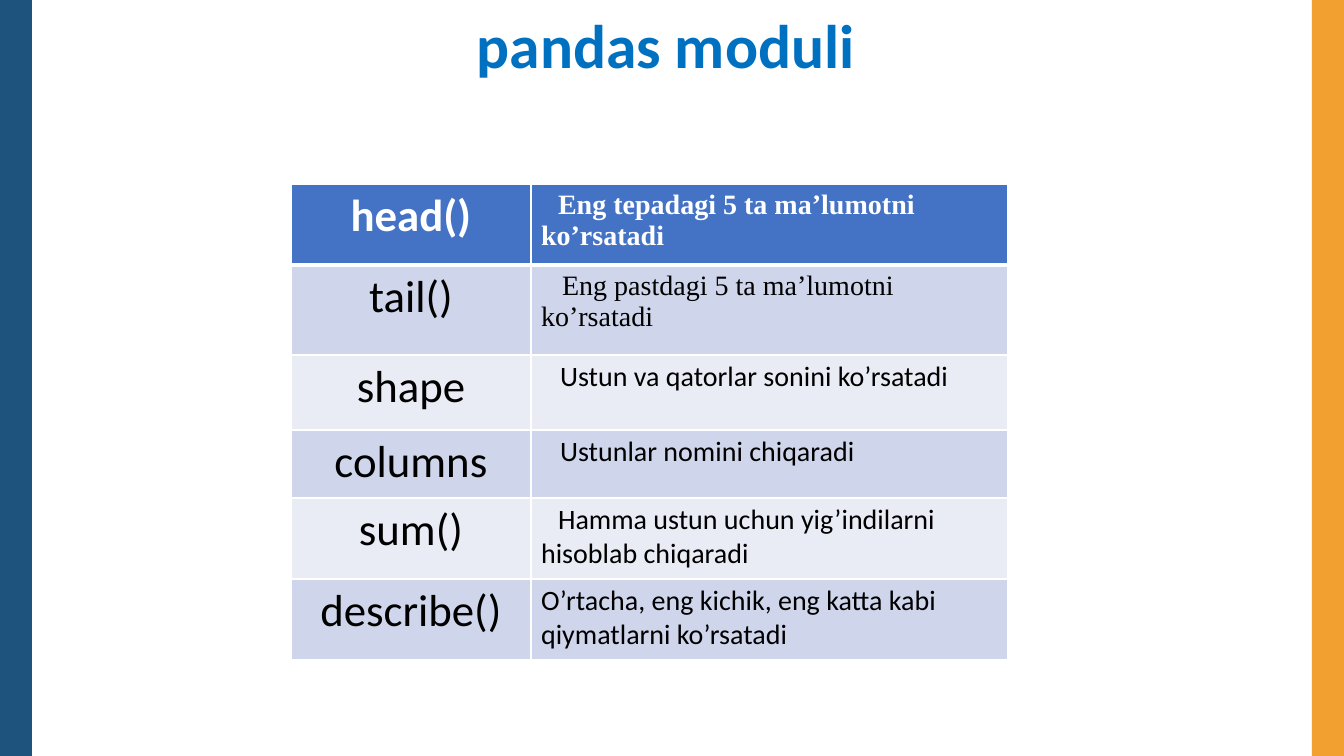
from lxml import etree
from pptx import Presentation
from pptx.dml.color import RGBColor
from pptx.enum.shapes import MSO_SHAPE
from pptx.enum.text import MSO_ANCHOR, PP_ALIGN
from pptx.oxml.ns import qn
from pptx.util import Pt

EMU_PER_PX = 914400 / 100.8
COLORS = {
    "left_bar": "1D537C", "right_bar": "F2A130", "title": "0070C0",
    "header": "4472C4", "band_dark": "CFD5EA", "band_light": "E9EBF5",
    "white": "FFFFFF", "black": "000000",
}
SANS, SERIF = "Calibri", "Times New Roman"
COL_WIDTHS = [240, 477]
# name, description, description font, first-line indent, row height
ROWS = [
    ("head()", "Eng tepadagi 5 ta ma’lumotni ko’rsatadi", SERIF, 17, 81),
    ("tail()", "Eng pastdagi 5 ta ma’lumotni ko’rsatadi", SERIF, 21, 90),
    ("shape", "Ustun va qatorlar sonini ko’rsatadi", SANS, 19, 75),
    ("columns", "Ustunlar nomini chiqaradi", SANS, 19, 68),
    ("sum()", "Hamma ustun uchun yig’indilarni hisoblab chiqaradi", SANS, 17, 81),
    ("describe()", "O’rtacha, eng kichik, eng katta kabi qiymatlarni ko’rsatadi",
     SANS, 0, 81),
]


def px(*values):
    """Turn pixel lengths into a list of EMU."""
    return [round(v * EMU_PER_PX) for v in values]


def set_font(p, name, size, color, bold):
    p.font.name, p.font.size, p.font.bold = name, Pt(size), bold
    p.font.color.rgb = RGBColor.from_string(COLORS[color])


prs = Presentation()
prs.slide_width, prs.slide_height = px(1344, 756)
s = prs.slides.add_slide(prs.slide_layouts[5])

# Side bars
for left, color in ((0, "left_bar"), (1312, "right_bar")):
    bar = s.shapes.add_shape(MSO_SHAPE.RECTANGLE, *px(left, 0, 32, 756))
    bar.shadow.inherit = False
    bar.fill.solid()
    bar.fill.fore_color.rgb = RGBColor.from_string(COLORS[color])
    bar.line.fill.background()

# Title
title = s.shapes.title
title.left, title.top, title.width, title.height = px(61, -24, 1210, 146)
tf = title.text_frame
tf.text = "pandas moduli"
tf.vertical_anchor = MSO_ANCHOR.MIDDLE
p = tf.paragraphs[0]
p.alignment = PP_ALIGN.CENTER
p.line_spacing = 0.9
set_font(p, SANS, 44, "title", True)

# Table of functions
heights = [row[-1] for row in ROWS]
table = s.shapes.add_table(
    len(ROWS), 2, *px(291, 184, sum(COL_WIDTHS), sum(heights))).table
for col, width in zip(table.columns, px(*COL_WIDTHS)):
    col.width = width

for i, (name, description, font, indent, height) in enumerate(ROWS):
    table.rows[i].height = px(height)[0]
    is_header = i == 0
    fill = "header" if is_header else ("band_light", "band_dark")[i % 2]
    text_color = "white" if is_header else "black"
    for j, text in enumerate((name, description)):
        cell = table.cell(i, j)
        cell.text = text
        p = cell.text_frame.paragraphs[0]
        if j == 0:
            p.alignment = PP_ALIGN.CENTER
            set_font(p, SANS, 32, text_color, is_header)
        else:
            set_font(p, font, 20, text_color, is_header)
            p_pr = p._p.get_or_add_pPr()
            p_pr.set("marL", "0")
            p_pr.set("indent", str(px(indent)[0]))

        tc_pr = cell._tc.get_or_add_tcPr()
        for side in "LRTB":
            under_header = (i, side) in ((0, "B"), (1, "T"))
            ln = etree.SubElement(tc_pr, qn(f"a:ln{side}"),
                                  w=str(Pt(3 if under_header else 1)))
            solid = etree.SubElement(ln, qn("a:solidFill"))
            etree.SubElement(solid, qn("a:srgbClr"), val=COLORS["white"])
        cell.fill.solid()
        cell.fill.fore_color.rgb = RGBColor.from_string(COLORS[fill])

prs.save("out.pptx")
